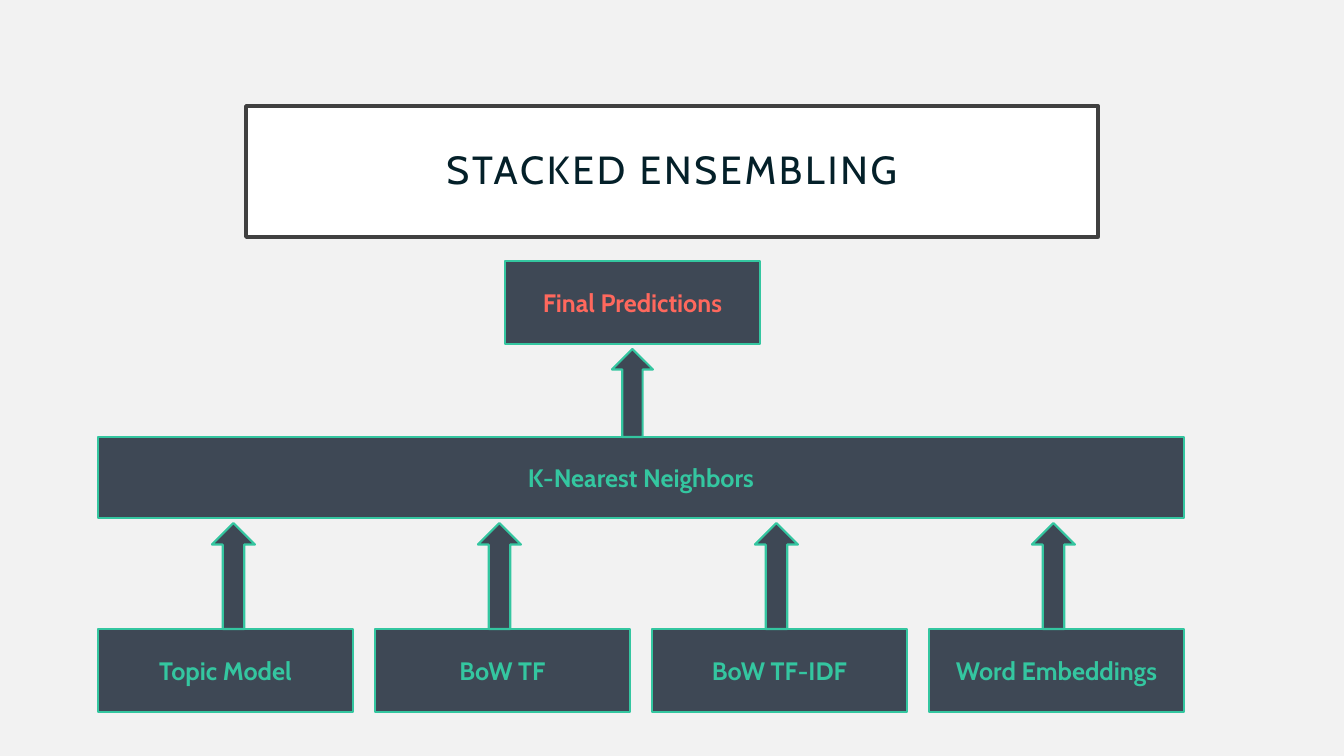
"""Build the stacked ensembling slide: four models feed one combiner and its predictions."""
from pptx import Presentation
from pptx.dml.color import RGBColor
from pptx.enum.shapes import MSO_SHAPE
from pptx.enum.text import MSO_ANCHOR, MSO_AUTO_SIZE, PP_ALIGN
from pptx.util import Pt

COLORS = {
    "background": "F2F2F2", "panel": "FFFFFF", "frame": "404040", "heading": "042029",
    "slate": "3E4855", "mint": "34C6A0", "coral": "FF685D",
}
FONT = "Cabin"
HEADING = "STACKED ENSEMBLING"
COMBINER = "K-Nearest Neighbors"
RESULT = "Final Predictions"
MODELS = [
    {"name": "Topic Model", "arrow_shift": 8},
    {"name": "BoW TF", "arrow_shift": -3},
    {"name": "BoW TF-IDF", "arrow_shift": -3},
    {"name": "Word Embeddings", "arrow_shift": -3},
]

SCALE = 914400 / 100.8
SLIDE_W, SLIDE_H = 1344, 756
LEFT, BOX_W, BOX_H, GAP = 98, 255, 83, 22
MODEL_TOP, COMBINER_TOP, COMBINER_H, RESULT_TOP = 629, 437, 81, 261
ARROW_GAP = 5
ROW_W = len(MODELS) * (BOX_W + GAP) - GAP


def emu(pixels):
    return round(pixels * SCALE)


def color(name):
    return RGBColor.from_string(COLORS[name])


def paint(shape, fill, line, weight):
    shape.fill.solid()
    shape.fill.fore_color.rgb = color(fill)
    shape.line.color.rgb = color(line)
    shape.line.width = Pt(weight)
    shape.shadow.inherit = False


def write(shape, text, *, size=18, ink="mint", bold=True, spacing=None, tracking=None, inset=None):
    frame = shape.text_frame
    frame.word_wrap = True
    frame.auto_size = MSO_AUTO_SIZE.NONE
    frame.vertical_anchor = MSO_ANCHOR.MIDDLE
    if inset is not None:
        frame.margin_left = frame.margin_right = emu(inset)
        frame.margin_top = frame.margin_bottom = emu(inset)
    paragraph = frame.paragraphs[0]
    paragraph.alignment = PP_ALIGN.CENTER
    paragraph.line_spacing = spacing
    run = paragraph.add_run()
    run.text = text
    run.font.name = FONT
    run.font.size = Pt(size)
    run.font.bold = bold
    run.font.color.rgb = color(ink)
    if tracking is not None:
        run.font._element.set("spc", str(tracking * 100))


def add_block(kind, left, top, width, height):
    block = slide.shapes.add_shape(kind, emu(left), emu(top), emu(width), emu(height))
    paint(block, "slate", "mint", 1.5)
    return block


def add_box(text, left, top, width=BOX_W, height=BOX_H, **text_format):
    write(add_block(MSO_SHAPE.RECTANGLE, left, top, width, height), text, **text_format)


def add_arrow(center, top, bottom, width):
    add_block(MSO_SHAPE.UP_ARROW, center - width / 2, top, width, bottom - top)


deck = Presentation()
deck.slide_width, deck.slide_height = emu(SLIDE_W), emu(SLIDE_H)
slide = deck.slides.add_slide(deck.slide_layouts[5])
slide.background.fill.solid()
slide.background.fill.fore_color.rgb = color("background")

heading = slide.shapes.title
heading.left, heading.top, heading.width, heading.height = map(emu, (246, 106, 852, 131))
paint(heading, "panel", "frame", 2.5)
write(heading, HEADING, size=28, ink="heading", bold=False, spacing=0.9, tracking=2, inset=20)

model_lefts = [LEFT + i * (BOX_W + GAP) for i in range(len(MODELS))]
for model, left in zip(MODELS, model_lefts):
    add_box(model["name"], left, MODEL_TOP)

add_box(COMBINER, LEFT, COMBINER_TOP, ROW_W, COMBINER_H)

for model, left in zip(MODELS, model_lefts):
    center = left + BOX_W / 2 + model["arrow_shift"]
    add_arrow(center, COMBINER_TOP + COMBINER_H + ARROW_GAP, MODEL_TOP, 43)

result_left = 505
add_arrow(result_left + BOX_W / 2, RESULT_TOP + BOX_H + ARROW_GAP, COMBINER_TOP, 41)
add_box(RESULT, result_left, RESULT_TOP, ink="coral")

deck.save("out.pptx")
